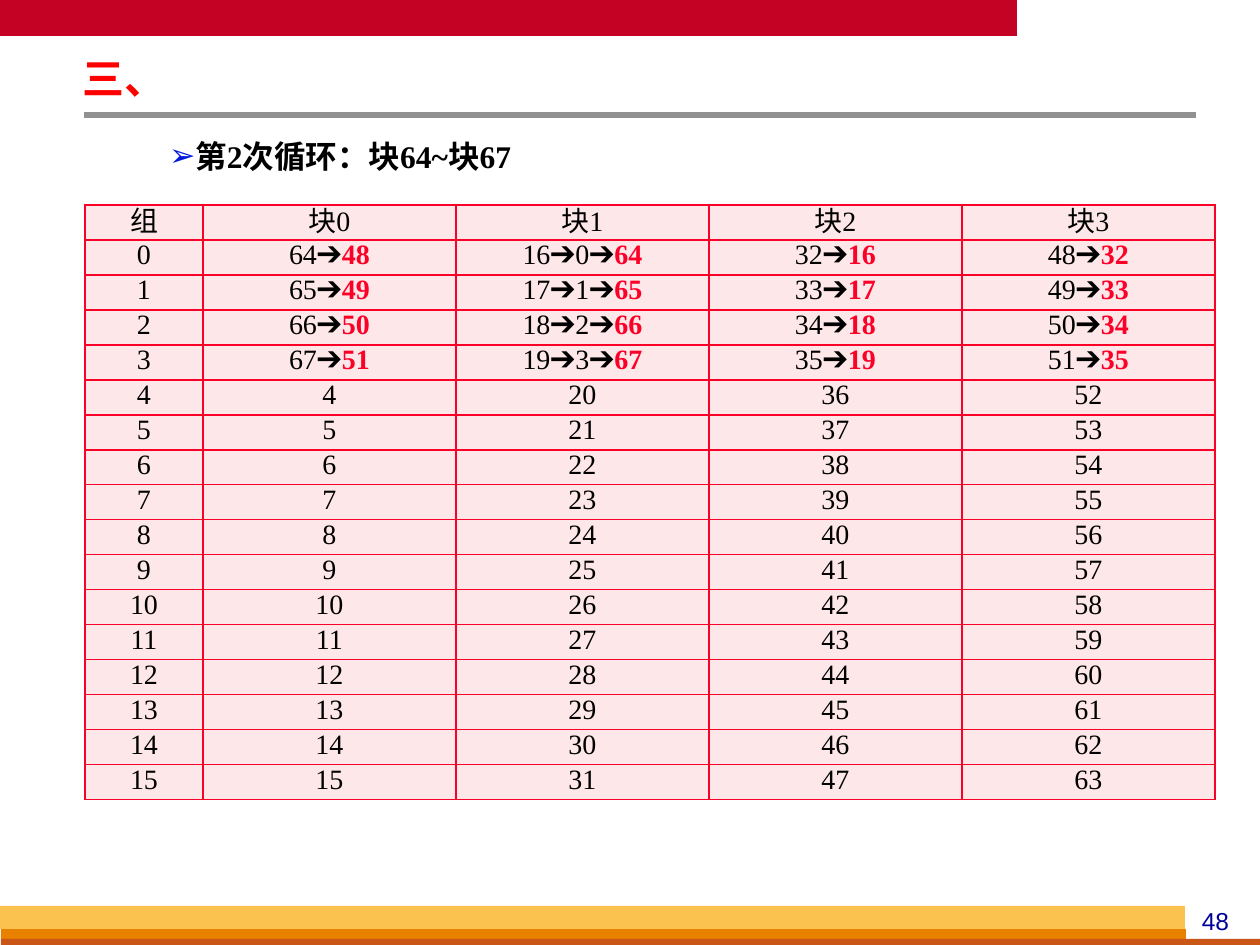
from lxml import etree
from pptx import Presentation
from pptx.dml.color import RGBColor
from pptx.enum.shapes import MSO_CONNECTOR, MSO_SHAPE
from pptx.enum.text import MSO_ANCHOR, PP_ALIGN
from pptx.oxml.ns import qn
from pptx.util import Pt

PIXEL = 914400 // 126
RECTANGLE = MSO_SHAPE.RECTANGLE
STRAIGHT = MSO_CONNECTOR.STRAIGHT
MIDDLE = MSO_ANCHOR.MIDDLE
LEFT, CENTER = PP_ALIGN.LEFT, PP_ALIGN.CENTER
SERIF, SANS = "Times New Roman", "Arial"

BLACK = RGBColor(0x00, 0x00, 0x00)
BANNER_RED = RGBColor(0xC3, 0x02, 0x24)
TITLE_RED = RGBColor(0xFF, 0x00, 0x00)
TABLE_RED = RGBColor(0xFC, 0x01, 0x28)
PINK = RGBColor(0xFE, 0xE7, 0xE8)
GRAY = RGBColor(0x91, 0x91, 0x91)
YELLOW = RGBColor(0xFC, 0xC2, 0x4F)
ORANGE = RGBColor(0xE8, 0x80, 0x00)
BROWN = RGBColor(0xC9, 0x56, 0x16)
NAVY = RGBColor(0x00, 0x00, 0x99)
BULLET_BLUE = RGBColor(0x00, 0x1A, 0xDC)

GROUPS, BLOCKS, REPLACED = 16, 4, 4
ARROW = "➔"


def scaled(*lengths):
    """Turn pixel lengths into EMU."""
    return [length * PIXEL for length in lengths]


def add_span(para, text, size, color, bold=False, font=SERIF):
    """Add one formatted run to a paragraph."""
    span = para.add_run()
    span.text = text
    span.font.name = font
    span.font.size = Pt(size)
    span.font.bold = bold
    span.font.color.rgb = color


def add_bar(page, box, color):
    """Add a plain filled rectangle."""
    bar = page.shapes.add_shape(RECTANGLE, *scaled(*box))
    bar.shadow.inherit = False
    bar.fill.solid()
    bar.fill.fore_color.rgb = color
    bar.line.fill.background()


def add_text(page, box, insets, spacing=1.0, align=LEFT):
    """Add a wrapping text box and return its first paragraph."""
    frame = page.shapes.add_textbox(*scaled(*box)).text_frame
    frame.word_wrap = True
    frame.margin_left = frame.margin_right = insets[0] * PIXEL
    frame.margin_top = frame.margin_bottom = insets[1] * PIXEL
    para = frame.paragraphs[0]
    para.line_spacing = spacing
    para.alignment = align
    return para


def add_bullet(para, mark, color, margin, indent):
    """Give a paragraph a coloured bullet with a hanging indent."""
    props = para._p.get_or_add_pPr()
    props.set("marL", str(margin * PIXEL))
    props.set("indent", str(indent * PIXEL))
    paint = etree.SubElement(props, qn("a:buClr"))
    etree.SubElement(paint, qn("a:srgbClr"), val=str(color))
    etree.SubElement(props, qn("a:buFont"), typeface=SANS)
    etree.SubElement(props, qn("a:buChar"), char=mark)


def add_header(page, box):
    """Place the banner, the title and the rule below it."""
    left, top, width, height = box
    add_bar(page, (left, top, 1017, 36), BANNER_RED)
    title = add_text(page, (left + 74, top + 55, 725, 52), (9, 4), 0.87)
    add_span(title, "三、", 24, TITLE_RED, True)
    rule_top = top + height
    ends = scaled(left + 84, rule_top, left + width - 64, rule_top)
    rule = page.shapes.add_connector(STRAIGHT, *ends)
    rule.line.color.rgb = GRAY
    rule.line.width = Pt(3)
    etree.SubElement(rule._element.spPr, qn("a:effectLst"))


def add_footer(page, box):
    """Place the stacked colour bars and the page number."""
    left, top, width, height = box
    add_bar(page, (left + 1, top + 23, 1185, 10), ORANGE)
    add_bar(page, (left + 1, top + 33, width - 1, height - 33), BROWN)
    add_bar(page, (left, top, 1185, 23), YELLOW)
    number = add_text(page, (left + 1176, top - 6, 79, 42), (13, 6), align=CENTER)
    add_span(number, "48", 14, NAVY, font=SANS)


def add_caption(page, box):
    """Place the bulleted line above the table."""
    para = add_text(page, box, (9, 4), 1.2)
    add_bullet(para, "➢", BULLET_BLUE, 92, -26)
    add_span(para, "第2次循环：块64~块67", 18, BLACK, True)


def block_texts(group, block):
    """Return the plain and the highlighted text of one cache block."""
    if group >= REPLACED:
        return str(GROUPS * block + group), ""
    history = [[64, 48], [16, 0, 64], [32, 16], [48, 32]][block]
    *earlier, latest = [str(start + group) for start in history]
    return "".join(number + ARROW for number in earlier), latest


def add_borders(cell, color):
    """Draw a one-point line on every side of a cell."""
    props = cell._tc.get_or_add_tcPr()
    for position, side in enumerate(("a:lnL", "a:lnR", "a:lnT", "a:lnB")):
        line = etree.Element(qn(side), w=str(Pt(1)))
        fill = etree.SubElement(line, qn("a:solidFill"))
        etree.SubElement(fill, qn("a:srgbClr"), val=str(color))
        props.insert(position, line)


def fill_cell(cell, plain, latest=""):
    """Style a table cell and write its text."""
    cell.fill.solid()
    cell.fill.fore_color.rgb = PINK
    add_borders(cell, TABLE_RED)
    cell.vertical_anchor = MIDDLE
    cell.margin_left = cell.margin_right = 13 * PIXEL
    cell.margin_top = cell.margin_bottom = 0
    para = cell.text_frame.paragraphs[0]
    para.alignment = CENTER
    para.line_spacing = 0.75
    add_span(para, plain, 16, BLACK)
    if latest:
        add_span(para, latest, 16, TABLE_RED, True)


def add_cache_table(page, box):
    """Place the table of groups and their blocks."""
    left, top, width, height = box
    group_width = 118
    frame = page.shapes.add_table(GROUPS + 1, BLOCKS + 1, *scaled(*box))
    table = frame.table
    table.first_row = table.horz_banding = False
    for row in table.rows:
        row.height = height * PIXEL // (GROUPS + 1)
    for index, column in enumerate(table.columns):
        pixels = (width - group_width) // BLOCKS if index else group_width
        column.width = pixels * PIXEL
    fill_cell(table.cell(0, 0), "组")
    for block in range(BLOCKS):
        fill_cell(table.cell(0, block + 1), f"块{block}")
    for group in range(GROUPS):
        fill_cell(table.cell(group + 1, 0), str(group))
        for block in range(BLOCKS):
            cell = table.cell(group + 1, block + 1)
            fill_cell(cell, *block_texts(group, block))


def main():
    """Build and save the deck."""
    deck = Presentation()
    deck.slide_width, deck.slide_height = scaled(1260, 945)
    page = deck.slides.add_slide(deck.slide_layouts[6])
    add_header(page, (0, 0, 1260, 115))
    add_footer(page, (0, 906, 1260, 39))
    add_caption(page, (94, 125, 1081, 49))
    add_cache_table(page, (85, 205, 1130, 595))
    deck.save("out.pptx")


main()
